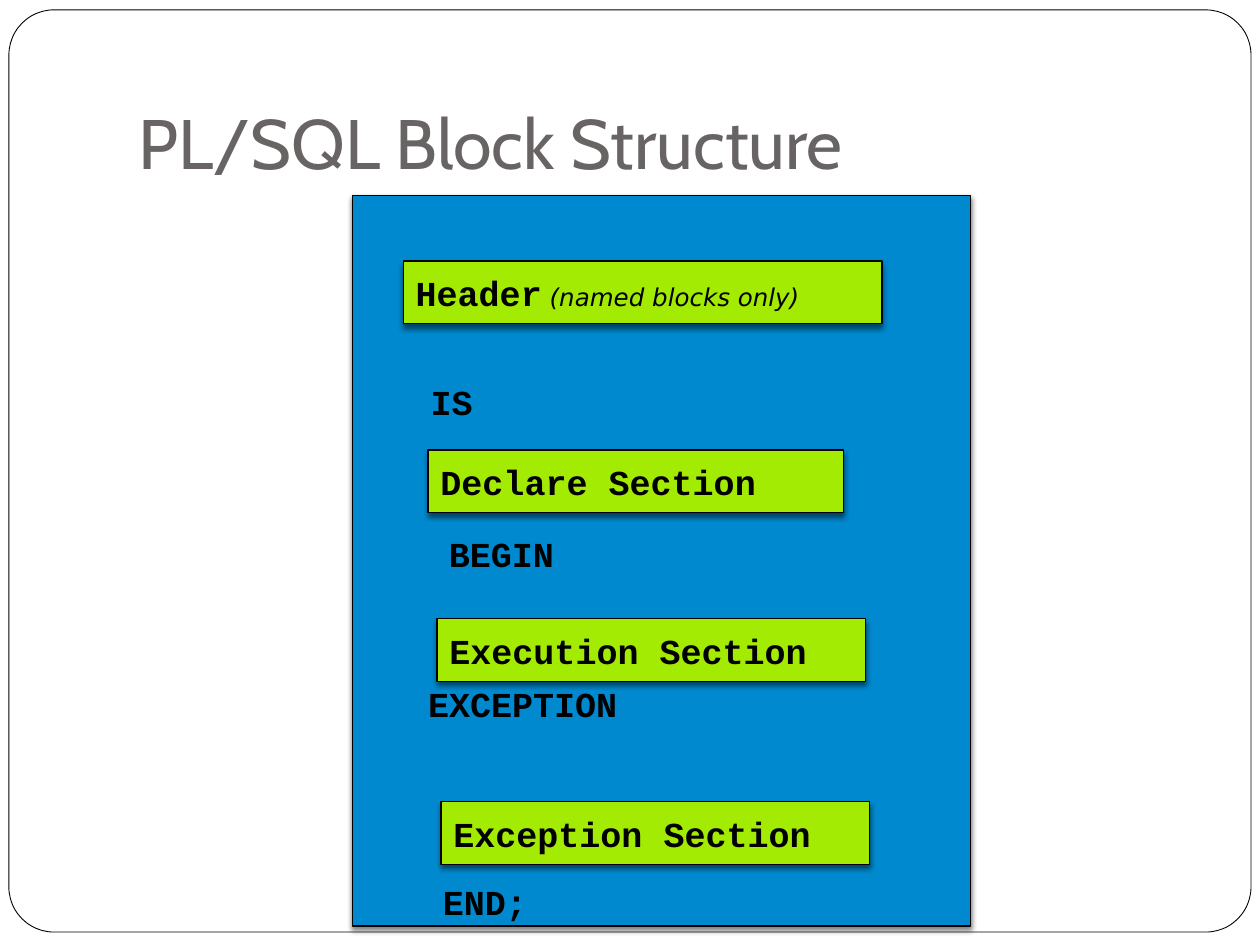
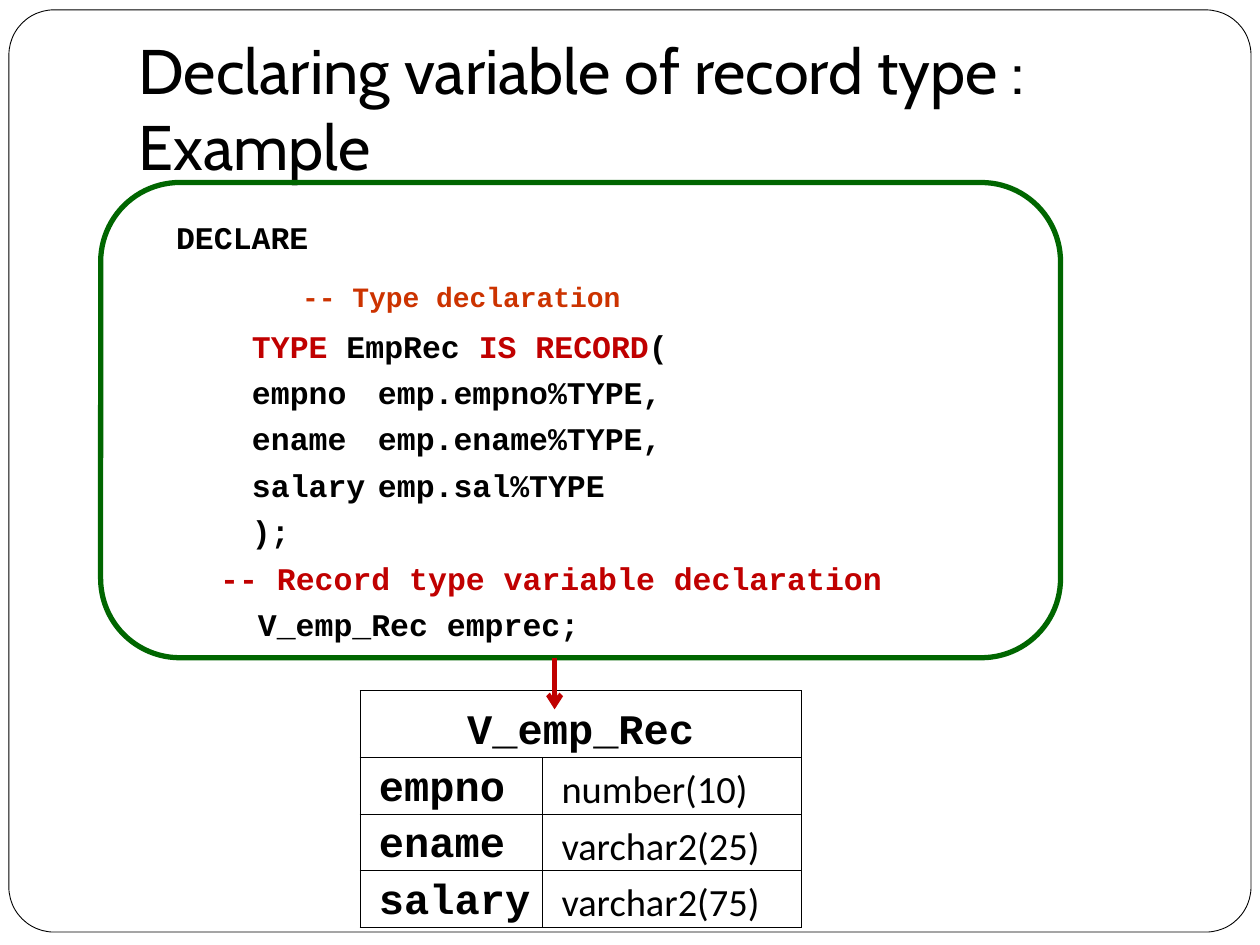
from lxml.etree import SubElement
from pptx import Presentation
from pptx.dml.color import RGBColor
from pptx.enum.shapes import MSO_CONNECTOR, MSO_SHAPE
from pptx.enum.text import MSO_ANCHOR, MSO_AUTO_SIZE, PP_ALIGN
from pptx.oxml.ns import qn
from pptx.util import Cm, Pt

HUES = {
    "black": "000000", "grey": "696464", "blue": "0089CF", "lime": "A3EB03",
    "green": "006600", "rust": "CC3300", "red": "C00000",
}
CODE = "Courier New"
FRAME = (0.18, 0.2, 25.04, 18.59)
TITLE = (2.54, 0.76, 21.59, 3.18)


def hue(name):
    """Return the named colour."""
    return RGBColor.from_string(HUES[name])


def lengths(box):
    """Turn a box in centimetres into lengths."""
    return [Cm(side) for side in box]


def add_run(para, text, size, font=CODE, color="black", bold=True, italic=False):
    """Add one run of text to a paragraph."""
    run = para.add_run()
    run.text = text
    face = run.font
    face.size, face.name, face.bold, face.italic = Pt(size), font, bold, italic
    face.color.rgb = hue(color)


def set_frame(frame, anchor, top=0.13):
    """Set wrapping, anchor and top margin of a text frame."""
    frame.word_wrap = True
    frame.auto_size = MSO_AUTO_SIZE.NONE
    frame.vertical_anchor = anchor
    frame.margin_top = Cm(top)


def add_lines(frame, lines):
    """Write lines given as indent, space before, size and runs."""
    for num, (indent, gap, size, runs) in enumerate(lines):
        para = frame.add_paragraph() if num else frame.paragraphs[0]
        para.alignment = PP_ALIGN.LEFT
        para.space_before = Pt(gap)
        props = para._p.get_or_add_pPr()
        props.set("marL", str(Cm(indent)))
        props.set("indent", "0")
        for text, color in runs:
            add_run(para, text, size, color=color)


def add_box(slide, box, kind, line, width, fill=None):
    """Add a flat outlined shape."""
    shape = slide.shapes.add_shape(kind, *lengths(box))
    shape.shadow.inherit = False
    if fill:
        shape.fill.solid()
        shape.fill.fore_color.rgb = hue(fill)
    else:
        shape.fill.background()
    shape.line.color.rgb = hue(line)
    shape.line.width = Pt(width)
    return shape


def add_card(slide, box, fill):
    """Add a filled rectangle with a soft shadow below it."""
    card = add_box(slide, box, MSO_SHAPE.RECTANGLE, "black", 0.75, fill)
    effects = card._element.spPr.find(qn("a:effectLst"))
    shade = SubElement(effects, qn("a:outerShdw"), blurRad=str(Pt(3)),
                       dist=str(Pt(2)), dir="5400000", rotWithShape="0")
    tint = SubElement(shade, qn("a:srgbClr"), val=HUES["black"])
    SubElement(tint, qn("a:alpha"), val="50000")
    return card


def add_slide(deck, text, size, color):
    """Add a slide with the shared frame and title."""
    slide = deck.slides.add_slide(deck.slide_layouts[5])
    frame = add_box(slide, FRAME, MSO_SHAPE.ROUNDED_RECTANGLE, "black", 0.5)
    frame.adjustments[0] = 0.049
    title = slide.shapes.title
    title.left, title.top, title.width, title.height = lengths(TITLE)
    set_frame(title.text_frame, MSO_ANCHOR.BOTTOM)
    title.text_frame.margin_bottom = Cm(0.25)
    para = title.text_frame.paragraphs[0]
    para.alignment = PP_ALIGN.LEFT
    add_run(para, text, size, "Cabin", color, False)
    return slide


def add_block(slide, box):
    """Draw the block panel with its keywords and section cards."""
    left, top = box[:2]
    panel = add_card(slide, box, "blue").text_frame
    set_frame(panel, MSO_ANCHOR.TOP, 3.73)
    words = [(1.32, 0, "IS"), (1.69, 63, "BEGIN"),
             (1.27, 61.3, "EXCEPTION"), (1.57, 89.3, "END;")]
    add_lines(panel, [(indent, gap, 20, [(word, "black")])
                      for indent, gap, word in words])
    parts = [("Header", 1.02, 1.32, 9.65), ("Declare Section", 1.52, 5.13, 8.38),
             ("Execution Section", 1.7, 8.53, 8.64),
             ("Exception Section", 1.78, 12.22, 8.64)]
    for name, across, down, width in parts:
        card = add_card(slide, (left + across, top + down, width, 1.27), "lime")
        frame = card.text_frame
        set_frame(frame, MSO_ANCHOR.MIDDLE)
        add_lines(frame, [(0, 0, 20, [(name, "black")])])
        if name == "Header":
            add_run(frame.paragraphs[0], " (named blocks only)", 14,
                    "DejaVu Sans", bold=False, italic=True)


def add_code(slide, box):
    """Draw the rounded code box and its listing."""
    left, top = box[:2]
    area = (left + 0.51, top + 0.33, 21.59, 12.7)
    frame = slide.shapes.add_textbox(*lengths(area)).text_frame
    set_frame(frame, MSO_ANCHOR.TOP, 0.38)
    fields = ["empno\temp.empno%TYPE,", "ename\temp.ename%TYPE,",
              "salary\temp.sal%TYPE", ");"]
    add_lines(frame, [
        (0.76, 0, 18, [("DECLARE", "black")]),
        (3.3, 13.7, 16, [("-- Type declaration", "rust")]),
        (2.29, 7.8, 18, [("TYPE ", "red"), ("EmpRec ", "black"),
                         ("IS RECORD", "red"), ("(", "black")]),
        *[(2.29, 4.9, 18, [(field, "black")]) for field in fields],
        (1.65, 4.9, 18, [("-- Record type variable declaration", "red")]),
        (2.41, 4.9, 18, [("V_emp_Rec emprec;", "black")]),
    ])
    add_box(slide, box, MSO_SHAPE.ROUNDED_RECTANGLE, "green", 3)


def set_cell(cell):
    """Give a cell thin borders, no fill and tight margins."""
    cell.vertical_anchor = MSO_ANCHOR.BOTTOM
    cell.margin_left = cell.margin_right = cell.margin_top = Cm(0.03)
    cell.margin_bottom = 0
    props = cell._tc.get_or_add_tcPr()
    for side in ("lnL", "lnR", "lnT", "lnB"):
        edge = SubElement(props, qn(f"a:{side}"), w=str(Pt(0.5)))
        SubElement(SubElement(edge, qn("a:solidFill")), qn("a:srgbClr"),
                   val=HUES["black"])
    cell.fill.background()


def add_record(slide, box):
    """Draw the table of record fields and their types."""
    rows = [("empno", "number(10)"), ("ename", "varchar2(25)"),
            ("salary", "varchar2(75)")]
    table = slide.shapes.add_table(len(rows) + 1, 2, *lengths(box)).table
    table.first_row = table.horz_banding = False
    for col, width in zip(table.columns, (3.68, 5.21)):
        col.width = Cm(width)
    for num, row in enumerate(table.rows):
        row.height = Cm(1.14 if num else 1.35)
        for cell in row.cells:
            set_cell(cell)
    head = table.cell(0, 0)
    head.merge(table.cell(0, 1))
    para = head.text_frame.paragraphs[0]
    para.alignment = PP_ALIGN.CENTER
    add_run(para, "V_emp_Rec", 24)
    for num, row in enumerate(rows, 1):
        styles = ((24, CODE, True), (22, "Calibri", False))
        for col, (text, (size, font, bold)) in enumerate(zip(row, styles)):
            cell = table.cell(num, col)
            cell.margin_left = Cm(0.38)
            add_run(cell.text_frame.paragraphs[0], text, size, font, bold=bold)


def add_arrow(slide, across, top, bottom):
    """Draw a red arrow pointing down."""
    ends = lengths((across, top, across, bottom))
    arrow = slide.shapes.add_connector(MSO_CONNECTOR.STRAIGHT, *ends)
    arrow.line.color.rgb = hue("red")
    arrow.line.width = Pt(2.75)
    SubElement(arrow.line._get_or_add_ln(), qn("a:tailEnd"), type="arrow")
    SubElement(arrow._element.spPr, qn("a:effectLst"))


def main():
    """Build both slides and save the deck."""
    deck = Presentation()
    deck.slide_width, deck.slide_height = Cm(25.4), Cm(19.05)
    slide = add_slide(deck, "PL/SQL Block Structure", 40, "grey")
    add_block(slide, (7.11, 3.94, 12.45, 14.73))
    slide = add_slide(deck, "Declaring variable of record type : Example", 36, "black")
    add_code(slide, (2.03, 3.68, 19.35, 9.58))
    add_record(slide, (7.26, 13.92, 8.89, 4.77))
    add_arrow(slide, 11.18, 13.26, 14.3)
    deck.save("out.pptx")


if __name__ == "__main__":
    main()
